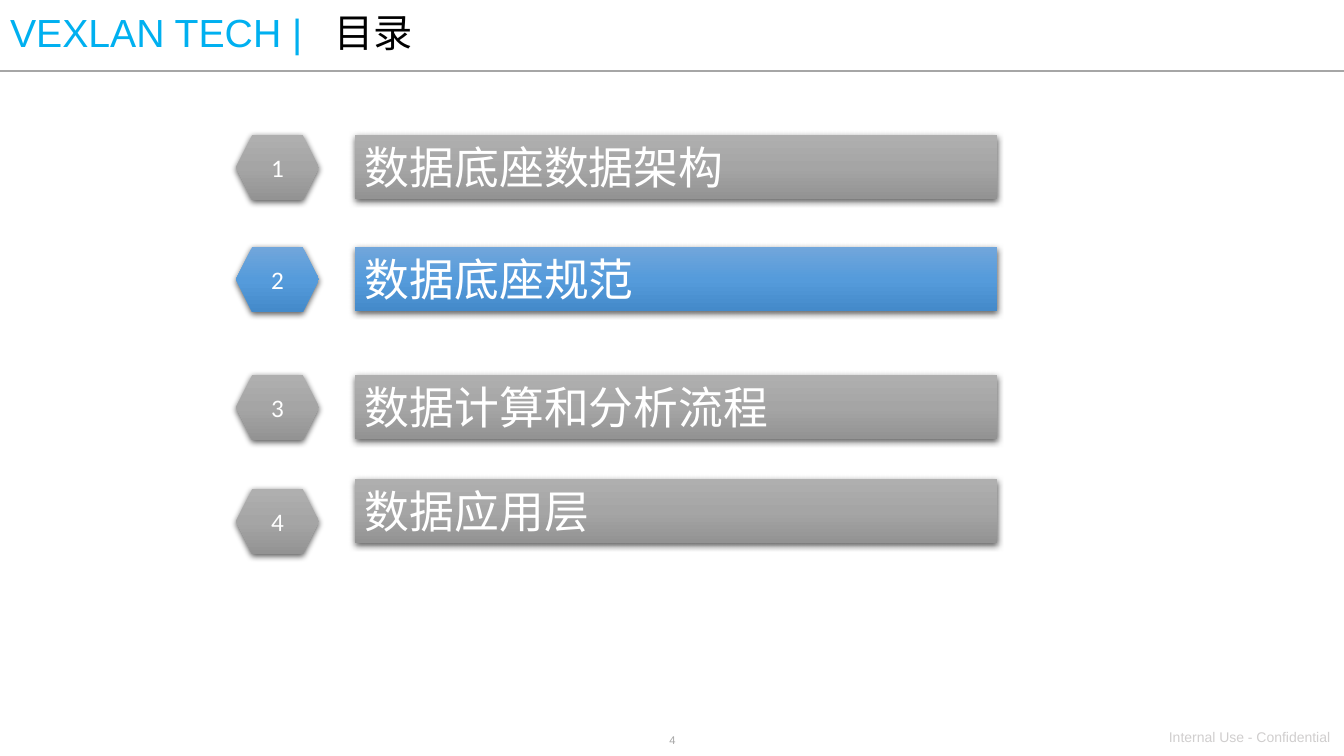
import pptx
import pptx.dml.color
import pptx.enum.shapes
import pptx.enum.text
import pptx.oxml
import pptx.oxml.ns
import pptx.util

SCALE = 914400 / 100.8
LATIN = "Arial"
CHINESE = "Noto Sans CJK SC"
GREY = ("AFAFAF", "A5A5A5", "939393")
BLUE = ("71A6DB", "559BDB", "448ACA")
NS = pptx.oxml.ns.nsdecls("a")
SHAPES = pptx.enum.shapes.MSO_SHAPE
ALIGN = pptx.enum.text.PP_ALIGN
MIDDLE = pptx.enum.text.MSO_ANCHOR.MIDDLE
NO_FIT = pptx.enum.text.MSO_AUTO_SIZE.NONE


def px(length):
    return pptx.util.Emu(round(length * SCALE))


def emu_box(box):
    return [px(length) for length in box]


def colour(hex_value):
    return pptx.dml.color.RGBColor.from_string(hex_value)


def add_xml(parent, xml):
    parent.append(pptx.oxml.parse_xml(xml))


def style(font, size, name, hex_value):
    font.size = pptx.util.Pt(size)
    font.name = name
    font.color.rgb = colour(hex_value)


def east_asian(properties):
    add_xml(properties, f'<a:ea {NS} typeface="{CHINESE}"/>')


def write(frame, text, size, name, hex_value, align):
    frame.word_wrap = True
    frame.auto_size = NO_FIT
    paragraph = frame.paragraphs[0]
    paragraph.text = text
    paragraph.alignment = align
    style(paragraph.font, size, name, hex_value)
    if name == CHINESE:
        east_asian(paragraph.font._element)


def header(slide, box):
    left, top, width, height = box
    heading = slide.shapes.title
    heading.left, heading.top, heading.width, heading.height = emu_box(box)
    frame = heading.text_frame
    frame.auto_size = NO_FIT
    frame.vertical_anchor = MIDDLE
    paragraph = frame.paragraphs[0]
    add_xml(paragraph._p.get_or_add_pPr(),
            f'<a:tabLst {NS}><a:tab pos="{px(324)}" algn="l"/></a:tabLst>')
    paragraph.alignment = ALIGN.LEFT
    paragraph.line_spacing = 0.9
    company = paragraph.add_run()
    company.text = "VEXLAN TECH |\t"
    style(company.font, 28, LATIN, "00B0F0")
    contents = paragraph.add_run()
    contents.text = "目录"
    style(contents.font, 28, CHINESE, "000000")
    east_asian(contents.font._element)

    rule_y = px(top + height + 1)
    rule = slide.shapes.add_connector(
        pptx.enum.shapes.MSO_CONNECTOR.STRAIGHT, px(left), rule_y, px(1344), rule_y)
    rule.line.color.rgb = colour("A6A6A6")
    rule.line.width = pptx.util.Pt(1)
    add_xml(rule._element.spPr, f"<a:effectLst {NS}/>")


def raised_shape(slide, kind, box, shades):
    shape = slide.shapes.add_shape(kind, *emu_box(box))
    properties = shape._element.spPr
    stops = "".join(
        f'<a:gs pos="{place * 50000}"><a:srgbClr val="{shade}"/></a:gs>'
        for place, shade in enumerate(shades))
    add_xml(properties, f'<a:gradFill {NS} rotWithShape="1"><a:gsLst>{stops}</a:gsLst>'
                        '<a:lin ang="5400000" scaled="0"/></a:gradFill>')
    shape.line.fill.background()
    add_xml(properties, f'<a:effectLst {NS}><a:outerShdw blurRad="57150" dist="19050" '
                        'dir="5400000" algn="ctr" rotWithShape="0"><a:srgbClr val="000000">'
                        '<a:alpha val="63000"/></a:srgbClr></a:outerShdw></a:effectLst>')
    shape.text_frame.vertical_anchor = MIDDLE
    return shape.text_frame


def agenda(slide, box, entries):
    left, top, width, height = box
    for number, (topic, badge_y, bar_y, shades) in enumerate(entries, 1):
        badge = raised_shape(slide, SHAPES.HEXAGON,
                             (left, top + badge_y, 83, height + 1), shades)
        write(badge, str(number), 18, "Calibri", "FFFFFF", ALIGN.CENTER)
        bar = raised_shape(slide, SHAPES.RECTANGLE,
                           (left + 119, top + bar_y, width - 119, height), shades)
        write(bar, topic, 32, CHINESE, "FFFFFF", ALIGN.LEFT)


def footer(slide, box):
    left, top, width, height = box
    page = slide.shapes.add_textbox(*emu_box((left + 584, top + 4, 177, 24)))
    write(page.text_frame, "4", 8, LATIN, "A6A6A6", ALIGN.CENTER)
    notice = slide.shapes.add_textbox(*emu_box((left + width - 185, top, 185, height)))
    write(notice.text_frame, "Internal Use - Confidential", 10, LATIN, "D0CECE", ALIGN.LEFT)


def main():
    deck = pptx.Presentation()
    deck.slide_width, deck.slide_height = px(1344), px(756)
    slide = deck.slides.add_slide(deck.slide_layouts[5])
    header(slide, (0, 0, 1159, 70))
    agenda(slide, (236, 135, 761, 64), (
        ("数据底座数据架构", 0, 0, GREY),
        ("数据底座规范", 112, 112, BLUE),
        ("数据计算和分析流程", 240, 240, GREY),
        ("数据应用层", 354, 344, GREY),
    ))
    footer(slide, (0, 724, 1344, 27))
    deck.save("out.pptx")


if __name__ == "__main__":
    main()
